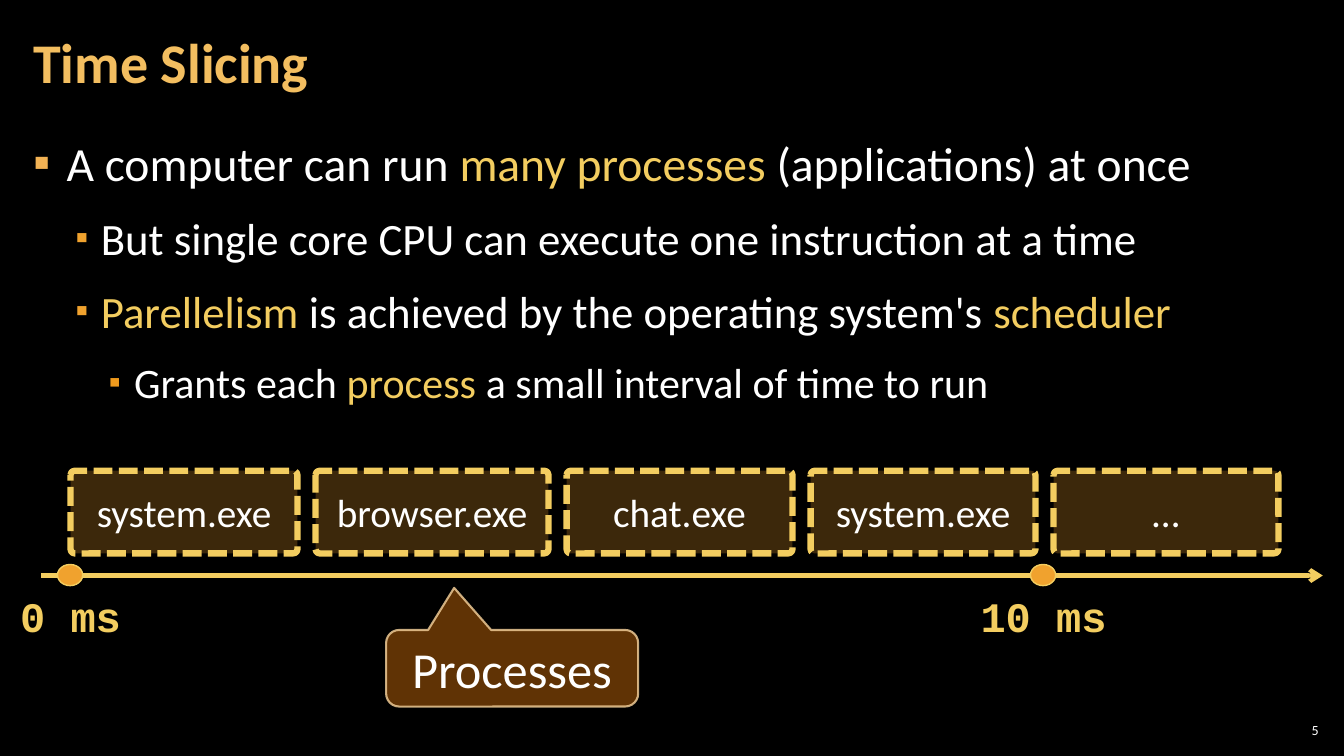
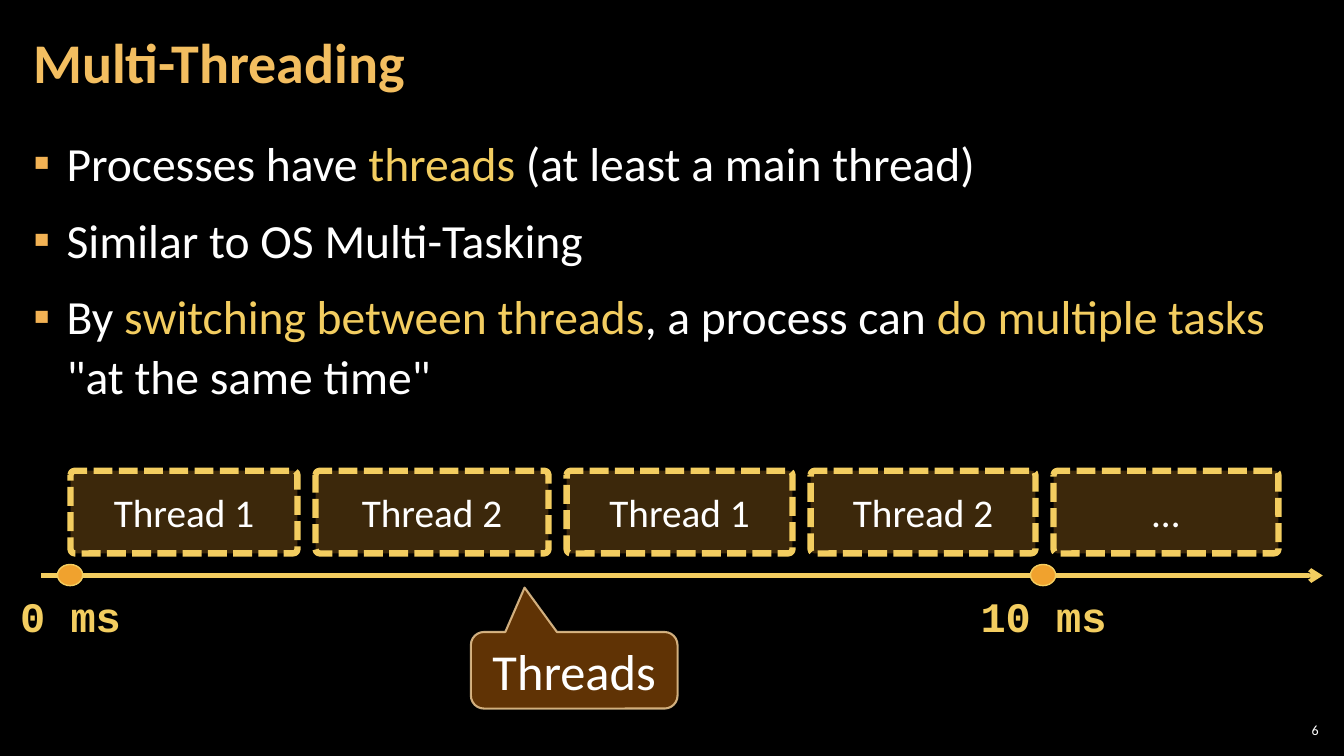
import pptx
import pptx.util
import pptx.dml.color
import pptx.enum.dml
import pptx.enum.shapes
import pptx.enum.text
import pptx.oxml.ns
from lxml import etree

Inches = pptx.util.Inches
Pt = pptx.util.Pt
RGBColor = pptx.dml.color.RGBColor
PP_ALIGN = pptx.enum.text.PP_ALIGN
MIDDLE = pptx.enum.text.MSO_ANCHOR.MIDDLE
SHAPE = pptx.enum.shapes.MSO_SHAPE
DASH = pptx.enum.dml.MSO_LINE
qn = pptx.oxml.ns.qn

BLACK = RGBColor(0x00, 0x00, 0x00)
WHITE = RGBColor(0xFF, 0xFF, 0xFF)
TITLE_GOLD = RGBColor(0xF3, 0xBE, 0x60)
YELLOW = RGBColor(0xF3, 0xCD, 0x60)
ORANGE = RGBColor(0xF0, 0xA2, 0x2E)
BROWN = RGBColor(0x66, 0x36, 0x06)
SAND = RGBColor(0xF8, 0xD4, 0x9E)

TITLE = {"name": "Calibri", "size": Pt(40), "bold": True, "color": TITLE_GOLD}
SLOT = {"name": "Calibri", "size": Pt(28), "color": WHITE}
CALLOUT = {"name": "Calibri", "size": Pt(36), "color": WHITE}
TIME = {"name": "Courier New", "size": Pt(30), "bold": True, "color": YELLOW}
NUMBER = {"name": "Calibri", "size": Pt(10), "color": WHITE}

# Per level: text size, left margin, hanging indent, bullet colour, bullet size in %
LEVELS = [
    (34, 0.33, 0.33, "F2B254", 100),
    (32, 0.67, 0.25, "F0A22E", 80),
    (30, 1.00, 0.25, "EF9A1D", 80),
]
SLOT_WIDTHS = [2.25, 2.31, 2.24, 2.23, 2.23]
SLOT_LEFT, SLOT_TOP, SLOT_HEIGHT, SLOT_GAP = 0.7, 4.67, 0.82, 0.18
AXIS_Y = 5.71
MARKS = [("0 ms", 0.7, 1.4), ("10 ms", 10.35, 1.78)]

SLIDES = [
    {
        "number": "5",
        "title": "Time Slicing",
        "bullets": [
            (0, "A computer can run *many processes *(applications) at once"),
            (1, "But single core CPU can execute one instruction at a time"),
            (1, "*Parellelism* is achieved by the operating system's *scheduler*"),
            (2, "Grants each *process* a small interval of time to run"),
        ],
        "slots": ["system.exe", "browser.exe", "chat.exe", "system.exe", "…"],
        "callout": ("Processes", (3.83, 6.25, 2.5, 0.76), (-0.23, -1.05)),
    },
    {
        "number": "6",
        "title": "Multi-Threading",
        "bullets": [
            (0, "Processes have *threads* (at least a main thread)"),
            (0, "Similar to OS Multi-Tasking"),
            (0, "By *switching between threads*, a process can "
                "*do multiple tasks *\"at the same time\""),
        ],
        "slots": ["Thread 1", "Thread 2", "Thread 1", "Thread 2", "…"],
        "callout": ("Threads", (4.67, 6.27, 2.05, 0.76), (-0.24, -1.08)),
    },
]


def add_run(p, text, fmt):
    r = p.add_run()
    r.text = text
    for name, value in fmt.items():
        if name == "color":
            r.font.color.rgb = value
        else:
            setattr(r.font, name, value)


def add_text(s, box, text, fmt, **paragraph):
    """Add a text box; an empty text leaves its first paragraph free."""
    sp = s.shapes.add_textbox(*map(Inches, box))
    tf = sp.text_frame
    tf.word_wrap = True
    for name, value in paragraph.items():
        setattr(tf.paragraphs[0], name, value)
    if text:
        add_run(tf.paragraphs[0], text, fmt)
    return tf


def set_margins(tf, side, top):
    for name, value in {"left": side, "right": side, "top": top, "bottom": top}.items():
        setattr(tf, f"margin_{name}", Inches(value))


def set_alpha(parent, percent):
    color = next(parent.iter(qn("a:srgbClr")))
    etree.SubElement(color, qn("a:alpha"), val=str(percent * 1000))


def add_filled(s, kind, box, fill, line, width):
    sp = s.shapes.add_shape(kind, *map(Inches, box))
    sp.shadow.inherit = False
    sp.fill.solid()
    sp.fill.fore_color.rgb = fill
    sp.line.color.rgb = line
    sp.line.width = Pt(width)
    return sp


def label(sp, text, fmt):
    tf = sp.text_frame
    tf.vertical_anchor = MIDDLE
    tf.paragraphs[0].alignment = PP_ALIGN.CENTER
    add_run(tf.paragraphs[0], text, fmt)


def set_bullet(p, level):
    _, margin, hanging, color, percent = LEVELS[level]
    pPr = p._p.get_or_add_pPr()
    pPr.set("marL", str(Inches(margin)))
    pPr.set("indent", str(-Inches(hanging)))
    buClr = etree.SubElement(pPr, qn("a:buClr"))
    etree.SubElement(buClr, qn("a:srgbClr"), val=color)
    etree.SubElement(pPr, qn("a:buSzPct"), val=str(percent * 1000))
    etree.SubElement(pPr, qn("a:buFont"), typeface="Calibri")
    etree.SubElement(pPr, qn("a:buChar"), char="▪")


def add_bullets(s, bullets):
    """Add the bullet list; text between asterisks is highlighted."""
    tf = add_text(s, (0.21, 1.26, 12.91, 3.2), "", {})
    set_margins(tf, 0.12, 0.04)
    for i, (level, text) in enumerate(bullets):
        p = tf.add_paragraph() if i else tf.paragraphs[0]
        p.level = level
        p.line_spacing = 1.05
        p.space_before = Pt(6 if i else 0)
        p.space_after = Pt(6)
        set_bullet(p, level)
        for j, part in enumerate(text.split("*")):
            if part:
                add_run(p, part, {"name": "Calibri", "size": Pt(LEVELS[level][0]),
                                  "color": YELLOW if j % 2 else WHITE})


def add_slots(s, names):
    left = SLOT_LEFT
    for name, width in zip(names, SLOT_WIDTHS):
        sp = add_filled(s, SHAPE.ROUNDED_RECTANGLE,
                        (left, SLOT_TOP, width, SLOT_HEIGHT), ORANGE, YELLOW, 4.5)
        sp.adjustments[0] = 0.05
        sp.line.dash_style = DASH.SQUARE_DOT
        set_alpha(sp.element.spPr.find(qn("a:solidFill")), 25)
        label(sp, name, SLOT)
        left += width + SLOT_GAP


def add_timeline(s):
    axis = s.shapes.add_connector(
        pptx.enum.shapes.MSO_CONNECTOR.STRAIGHT,
        Inches(0.41), Inches(AXIS_Y), Inches(13.12), Inches(AXIS_Y))
    axis.line.color.rgb = YELLOW
    axis.line.width = Pt(3)
    etree.SubElement(axis.line._get_or_add_ln(), qn("a:tailEnd"), type="arrow")
    etree.SubElement(axis._element.spPr, qn("a:effectLst"))
    for text, x, width in MARKS:
        add_filled(s, SHAPE.OVAL, (x - 0.13, AXIS_Y - 0.11, 0.25, 0.21),
                   ORANGE, YELLOW, 1)
        add_text(s, (x - width / 2, 5.81, width, 0.61), text, TIME,
                 alignment=PP_ALIGN.CENTER)


def add_callout(s, text, box, tip):
    sp = add_filled(s, SHAPE.ROUNDED_RECTANGULAR_CALLOUT, box, BROWN, SAND, 1.5)
    for i, value in enumerate((*tip, 0.17)):
        sp.adjustments[i] = value
    set_alpha(sp.element.spPr.find(qn("a:solidFill")), 95)
    set_alpha(sp.element.spPr.find(qn("a:ln")), 80)
    label(sp, text, CALLOUT)


def add_frame(prs, title, number):
    """Add a slide with the shared background, title and slide number."""
    s = prs.slides.add_slide(prs.slide_layouts[6])
    s.background.fill.solid()
    s.background.fill.fore_color.rgb = BLACK
    tf = add_text(s, (0.21, 0.04, 10.47, 1.21), title, TITLE, line_spacing=0.9)
    set_margins(tf, 0.12, 0.04)
    tf.vertical_anchor = MIDDLE
    tf = add_text(s, (12.65, 7.14, 0.47, 0.21), number, NUMBER,
                  alignment=PP_ALIGN.RIGHT)
    set_margins(tf, 0.04, 0.04)
    tf.vertical_anchor = MIDDLE
    return s


def main():
    prs = pptx.Presentation()
    prs.slide_width, prs.slide_height = Inches(13.33), Inches(7.5)
    for content in SLIDES:
        s = add_frame(prs, content["title"], content["number"])
        add_bullets(s, content["bullets"])
        add_slots(s, content["slots"])
        add_timeline(s)
        add_callout(s, *content["callout"])
    prs.save("out.pptx")


if __name__ == "__main__":
    main()
